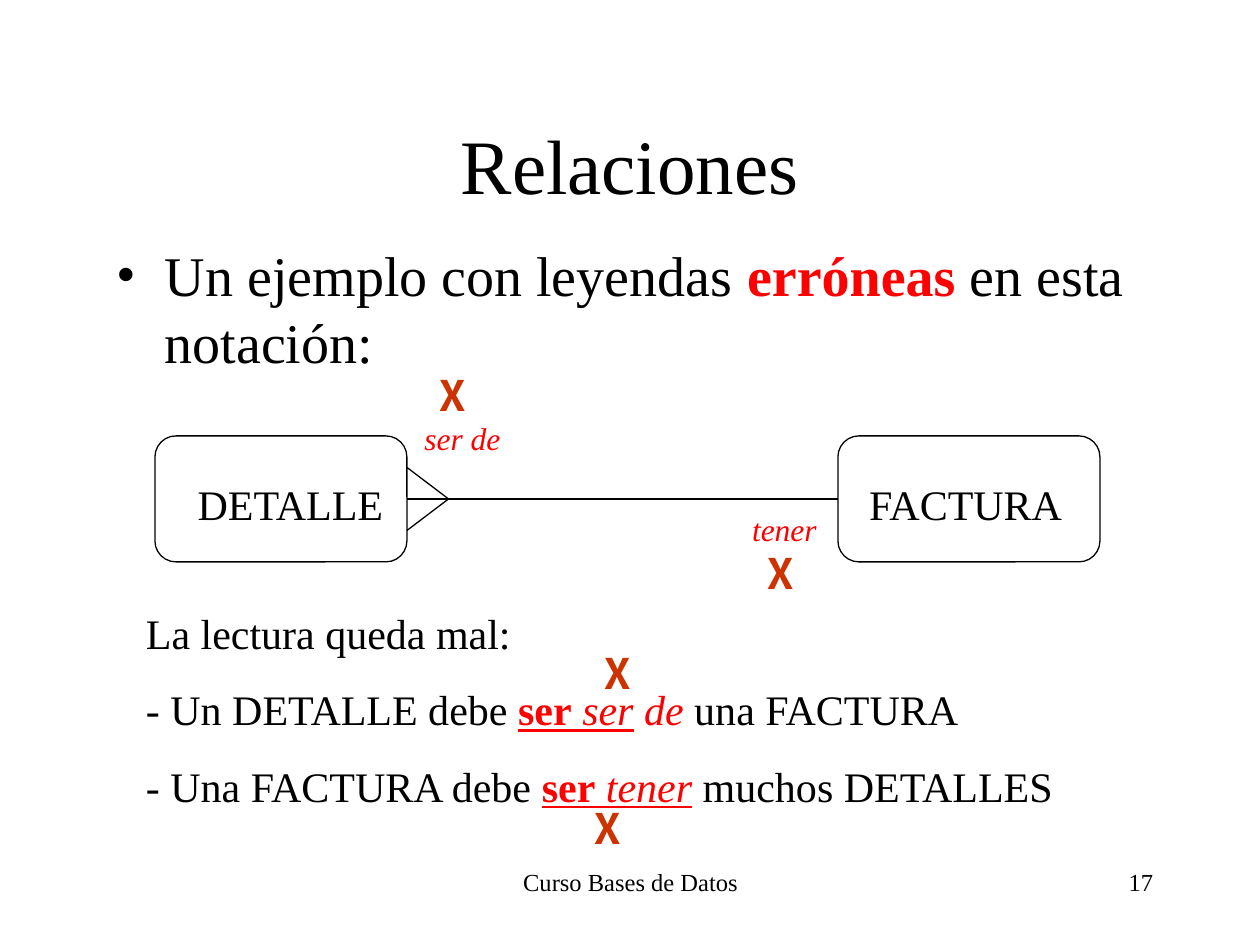
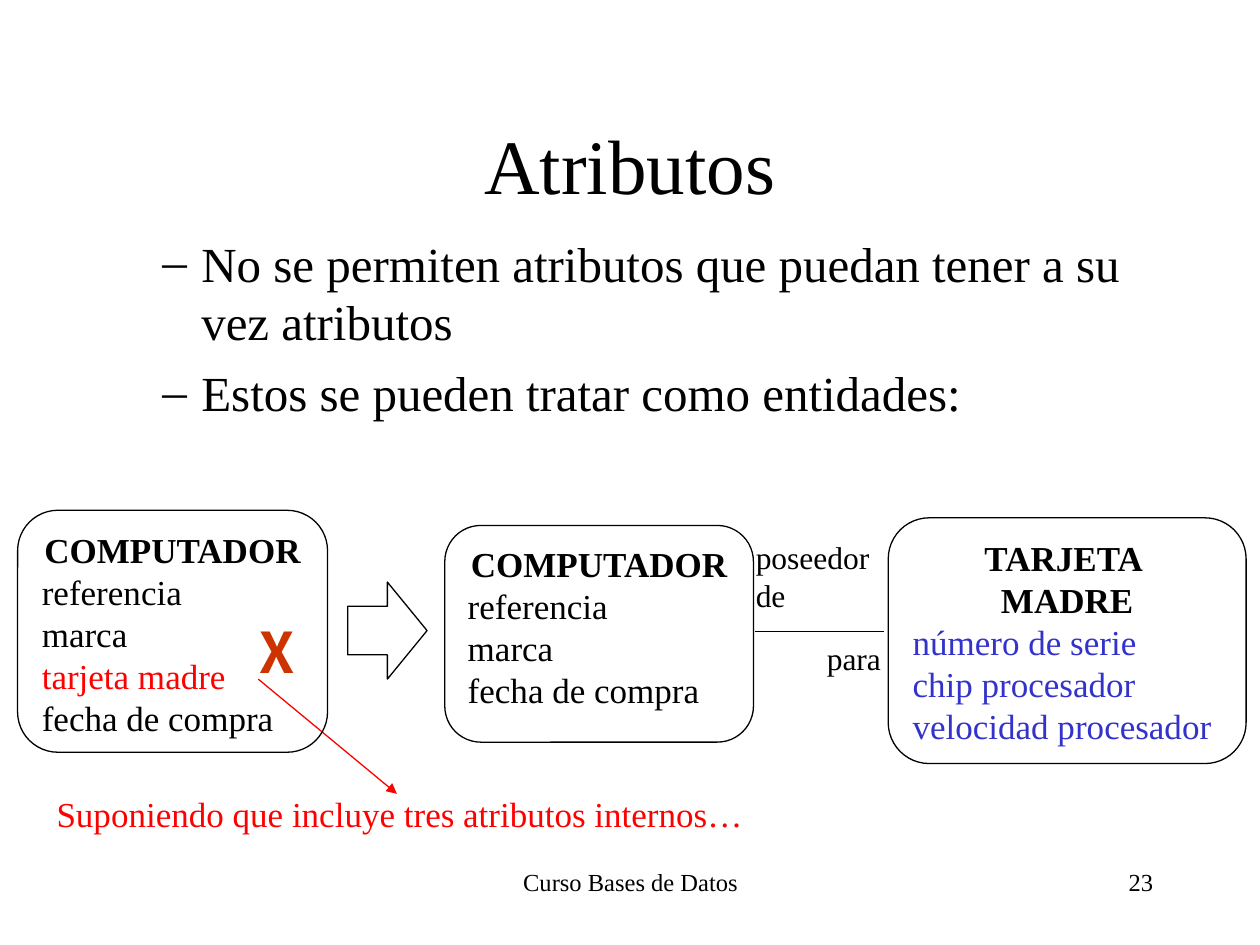
"""Builds two slides on relations and attributes from a database course."""
from lxml.etree import SubElement
from pptx import Presentation
from pptx.dml.color import RGBColor
from pptx.enum.shapes import MSO_CONNECTOR, MSO_SHAPE as Shape
from pptx.enum.text import MSO_ANCHOR as Anchor, PP_ALIGN as Align
from pptx.oxml.ns import qn
from pptx.util import Inches, Pt

BLACK = RGBColor(0x00, 0x00, 0x00)
RED = RGBColor(0xFF, 0x00, 0x00)
BLUE = RGBColor(0x33, 0x33, 0xCC)
RUST = RGBColor(0xCC, 0x33, 0x00)
SERIF, SANS = "Times New Roman", "Noto Sans CJK SC"

FOOTER = "Curso Bases de Datos"
TITLE_AT = (0.75, 0.67, 8.5, 1.25)
FOOTER_AT = (3.42, 6.83, 3.17, 0.5)
NUMBER_AT = (7.17, 6.83, 2.08, 0.5)

EXAMPLE = [[("Un ejemplo con leyendas ", BLACK, ""), ("erróneas", RED, "b"),
            (" en esta notación:", BLACK, "")]]
READING = [
    [("La lectura queda mal:", BLACK, "")],
    [("- Un DETALLE debe ", BLACK, ""), ("ser", RED, "bu"), (" ", RED, "u"),
     ("ser", RED, "iu"), (" de", RED, "i"), (" una FACTURA", BLACK, "")],
    [("- Una FACTURA debe ", BLACK, ""), ("ser", RED, "bu"), (" ", RED, "u"),
     ("tener", RED, "iu"), (" muchos DETALLES", BLACK, "")],
]
RELATED = [("DETALLE", (1.23, 3.46, 2, 1), (1.47, 3.75, 1.7, 0.5)),
           ("FACTURA", (6.65, 3.46, 2.08, 1), (6.8, 3.75, 1.75, 0.5))]
LEGENDS = [("ser de", (3.27, 3.28, 1.1, 0.4)), ("tener", (5.87, 4, 0.78, 0.4))]
ERROR_MARKS = [(5.99, 4.3), (3.39, 2.88), (4.7, 5.09), (4.62, 6.32)]
FOOT_LENGTH, FOOT_SPREAD = 0.33, 0.25

RULES = ["No se permiten atributos que puedan tener a su vez atributos",
         "Estos se pueden tratar como entidades:"]
ENTITIES = [
    ((3.53, 4.17, 2.45, 1.72), ["COMPUTADOR"],
     [("referencia", BLACK), ("marca", BLACK), ("fecha de compra", BLACK)]),
    ((0.14, 4.05, 2.46, 1.92), ["COMPUTADOR"],
     [("referencia", BLACK), ("marca", BLACK), ("tarjeta madre", RED),
      ("fecha de compra", BLACK)]),
    ((7.05, 4.11, 2.84, 1.95), ["TARJETA ", "MADRE"],
     [("número de serie", BLUE), ("chip procesador", BLUE),
      ("velocidad procesador", BLUE)]),
]


def plain(text, color=BLACK, flags=""):
    return [[(text, color, flags)]]


def add_bullet(p, char, indent, hanging):
    pPr = p._p.get_or_add_pPr()
    pPr.set("marL", str(Inches(indent)))
    pPr.set("indent", str(-Inches(hanging)))
    SubElement(pPr, qn("a:buFont")).set("typeface", SERIF)
    SubElement(pPr, qn("a:buChar")).set("char", char)


def fill_text(tf, paragraphs, size, align=Align.LEFT, before=0, font=SERIF, bullet=None):
    for i, runs in enumerate(paragraphs):
        p = tf.paragraphs[0] if i == 0 else tf.add_paragraph()
        if bullet:
            add_bullet(p, *bullet)
        p.alignment = align
        if i:
            p.space_before = Pt(before)
        for text, color, flags in runs:
            r = p.add_run()
            r.text = text
            f = r.font
            f.name, f.size, f.color.rgb = font, Pt(size), color
            f.bold, f.italic, f.underline = (flag in flags for flag in "biu")


def add_text(slide, at, paragraphs, size, wrap=True, anchor=Anchor.TOP, **style):
    tf = slide.shapes.add_textbox(*map(Inches, at)).text_frame
    tf.word_wrap, tf.vertical_anchor = wrap, anchor
    fill_text(tf, paragraphs, size, **style)


def add_outline(slide, kind, at):
    sp = slide.shapes.add_shape(kind, *map(Inches, at))
    sp.shadow.inherit = False
    sp.fill.background()
    sp.line.color.rgb, sp.line.width = BLACK, Pt(0.75)
    return sp


def add_line(slide, start, end, color=BLACK, arrow=False):
    line = slide.shapes.add_connector(MSO_CONNECTOR.STRAIGHT, *map(Inches, start + end))
    line.line.color.rgb, line.line.width = color, Pt(0.75)
    if arrow:
        SubElement(line.line._get_or_add_ln(), qn("a:tailEnd")).set("type", "triangle")
    SubElement(line._element.spPr, qn("a:effectLst"))
    return line


def add_mark(slide, at, size):
    add_text(slide, at, plain("X", RUST, "b"), size, wrap=False, font=SANS)


def add_slide(prs, title, number):
    slide = prs.slides.add_slide(prs.slide_layouts[6])
    add_text(slide, FOOTER_AT, plain(FOOTER), 14, align=Align.CENTER)
    add_text(slide, NUMBER_AT, plain(number), 14, align=Align.RIGHT)
    add_text(slide, TITLE_AT, plain(title), 44, anchor=Anchor.MIDDLE, align=Align.CENTER)
    return slide


def build_relations(prs):
    slide = add_slide(prs, "Relaciones", "17")
    add_text(slide, (0.83, 1.86, 8.5, 4.5), EXAMPLE, 32, bullet=("•", 0.38, 0.38))
    boxes = []
    for name, box_at, name_at in RELATED:
        boxes.append(add_outline(slide, Shape.ROUNDED_RECTANGLE, box_at))
        add_text(slide, name_at, plain(name), 24, wrap=False)
    left, top, width, height = RELATED[0][1]
    x, y = left + width, top + height / 2
    relation = add_line(slide, (x, y), (RELATED[1][1][0], y))
    relation.begin_connect(boxes[0], 3)
    relation.end_connect(boxes[1], 1)
    for spread in (FOOT_SPREAD, -FOOT_SPREAD):
        add_line(slide, (x, y + spread), (x + FOOT_LENGTH, y))
    for legend, at in LEGENDS:
        add_text(slide, at, plain(legend, RED, "i"), 18)
    add_text(slide, (1.06, 4.77, 7.72, 2.33), READING, 24, before=15)
    for corner in ERROR_MARKS:
        add_mark(slide, corner + (0.44, 0.5), 24)


def build_attributes(prs):
    slide = add_slide(prs, "Atributos", "23")
    add_text(slide, (0.69, 1.8, 8.5, 1.88), [[(rule, BLACK, "")] for rule in RULES], 28,
             before=7, bullet=("–", 0.81, 0.31))
    add_mark(slide, (1.96, 4.85, 0.52, 0.64), 32)
    add_line(slide, (2.05, 5.39), (3.15, 6.3), RED, arrow=True)
    add_text(slide, (0.35, 6.24, 7.32, 0.44),
             plain("Suponiendo que incluye tres atributos internos…", RED), 20)
    for at, names, attributes in ENTITIES:
        tf = add_outline(slide, Shape.ROUNDED_RECTANGLE, at).text_frame
        tf.word_wrap, tf.vertical_anchor = True, Anchor.TOP
        fill_text(tf, [[(name, BLACK, "b")] for name in names]
                  + [[(text, color, "")] for text, color in attributes], 20)
        for p in tf.paragraphs[:len(names)]:
            p.alignment = Align.CENTER
    add_outline(slide, Shape.RIGHT_ARROW, (2.76, 4.62, 0.63, 0.77))
    add_line(slide, (5.99, 5.01), (7.02, 5.01))
    add_text(slide, (6.3, 5.02, 0.79, 0.4), plain("para"), 18, align=Align.RIGHT)
    add_text(slide, (5.9, 4.22, 1.26, 0.7), plain("poseedor de"), 18)


def main():
    prs = Presentation()
    prs.slide_width, prs.slide_height = Inches(10), Inches(7.5)
    build_relations(prs)
    build_attributes(prs)
    prs.save("out.pptx")


if __name__ == "__main__":
    main()
